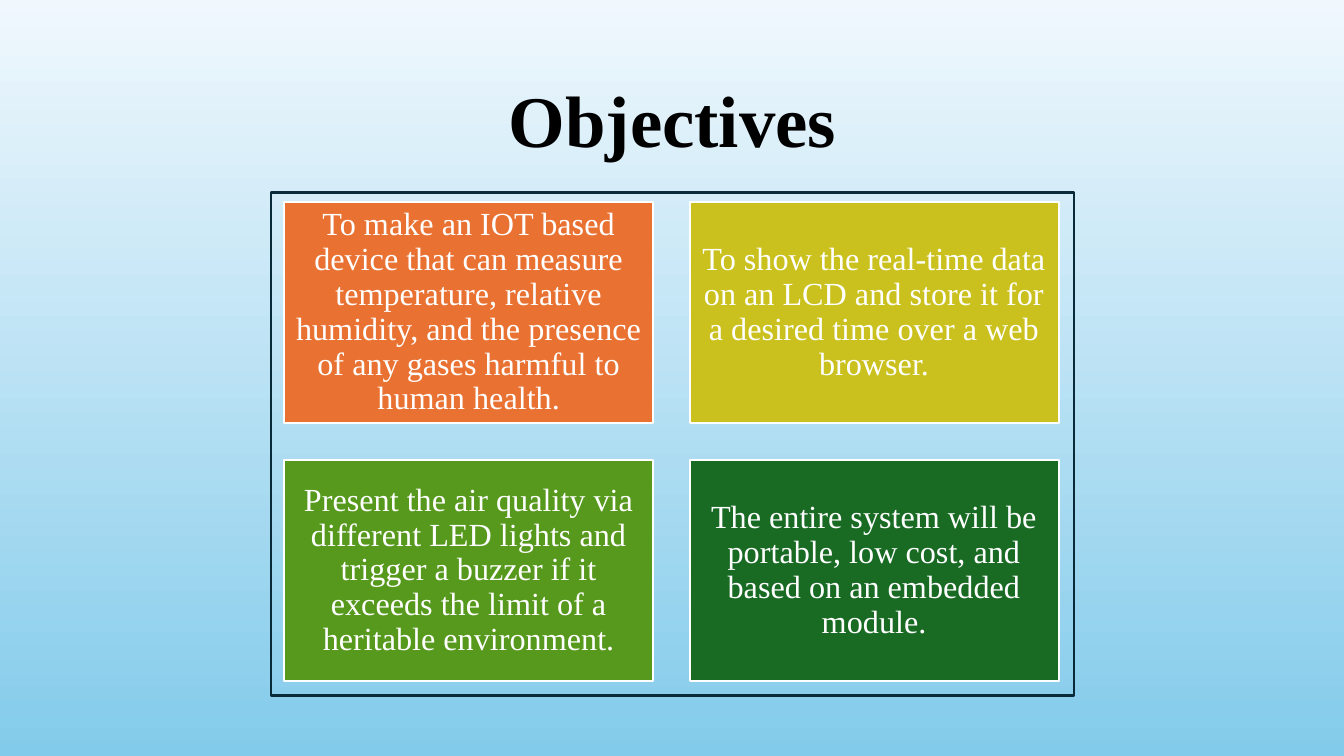
from pptx import Presentation
from pptx.dml.color import RGBColor
from pptx.enum.shapes import MSO_SHAPE as Shape
from pptx.enum.text import MSO_ANCHOR as Anchor, PP_ALIGN as Align
from pptx.util import Inches, Pt

TITLE = "Objectives"
OBJECTIVES = [
    ("To make an IOT based device that can measure temperature, relative humidity, "
     "and the presence of any gases harmful to human health.", "E97132"),
    ("To show the real-time data on an LCD and store it for a desired time "
     "over a web browser.", "CBC11E"),
    ("Present the air quality via different LED lights and trigger a buzzer if it "
     "exceeds the limit of a heritable environment.", "56991D"),
    ("The entire system will be portable, low cost, and based on an embedded module.",
     "196B24"),
]
BACKGROUND = ("F0F8FD", "83CBEB")
FONT = "Times New Roman"

COLUMNS = 2
GRID_LEFT, GRID_TOP = 2.82, 2
CARD_WIDTH, CARD_HEIGHT = 3.66, 2.2
GAP = 0.36


def color(hex_code):
    return RGBColor.from_string(hex_code)


def add_rectangle(slide, left, top, width, height, line, fill=None):
    shape = slide.shapes.add_shape(
        Shape.RECTANGLE, Inches(left), Inches(top), Inches(width), Inches(height))
    shape.shadow.inherit = False
    if fill:
        shape.fill.solid()
        shape.fill.fore_color.rgb = color(fill)
    else:
        shape.fill.background()
    shape.line.color.rgb = color(line)
    shape.line.width = Pt(1.5)
    return shape


def write(shape, text, size, hex_code, bold=False):
    """Put one centred paragraph in the middle of the shape."""
    frame = shape.text_frame
    frame.word_wrap = True
    frame.vertical_anchor = Anchor.MIDDLE
    frame.margin_left = frame.margin_right = Inches(0.1)
    frame.margin_top = frame.margin_bottom = Inches(0.1)
    paragraph = frame.paragraphs[0]
    paragraph.text = text
    paragraph.alignment = Align.CENTER
    paragraph.line_spacing = 0.9
    font = paragraph.font
    font.name, font.size, font.bold = FONT, Pt(size), bold
    font.color.rgb = color(hex_code)


def main():
    presentation = Presentation()
    presentation.slide_width, presentation.slide_height = Inches(13.33), Inches(7.5)
    slide = presentation.slides.add_slide(presentation.slide_layouts[6])

    fill = slide.background.fill
    fill.gradient()
    fill.gradient_angle = 270
    for stop, hex_code in zip(fill.gradient_stops, BACKGROUND):
        stop.color.rgb = color(hex_code)

    title = slide.shapes.add_textbox(Inches(0.92), Inches(0.61), Inches(11.5), Inches(1.24))
    write(title, TITLE, 52, "000000", bold=True)

    for index, (text, card_color) in enumerate(OBJECTIVES):
        row, column = divmod(index, COLUMNS)
        left = GRID_LEFT + column * (CARD_WIDTH + GAP)
        top = GRID_TOP + row * (CARD_HEIGHT + GAP)
        card = add_rectangle(slide, left, top, CARD_WIDTH, CARD_HEIGHT, "FFFFFF", card_color)
        write(card, text, 23, "FFFFFF")

    add_rectangle(slide, 2.69, 1.91, 7.96, 4.99, "092A39")
    presentation.save("out.pptx")


if __name__ == "__main__":
    main()
